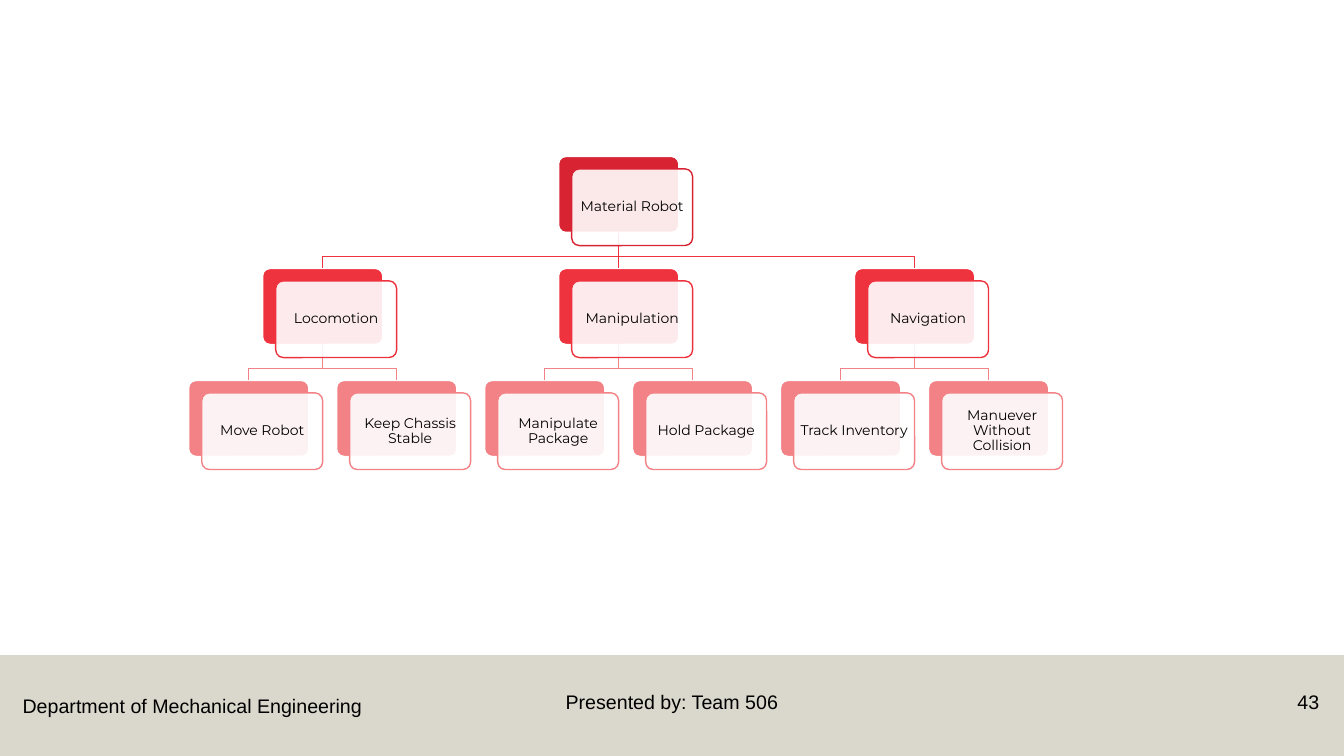
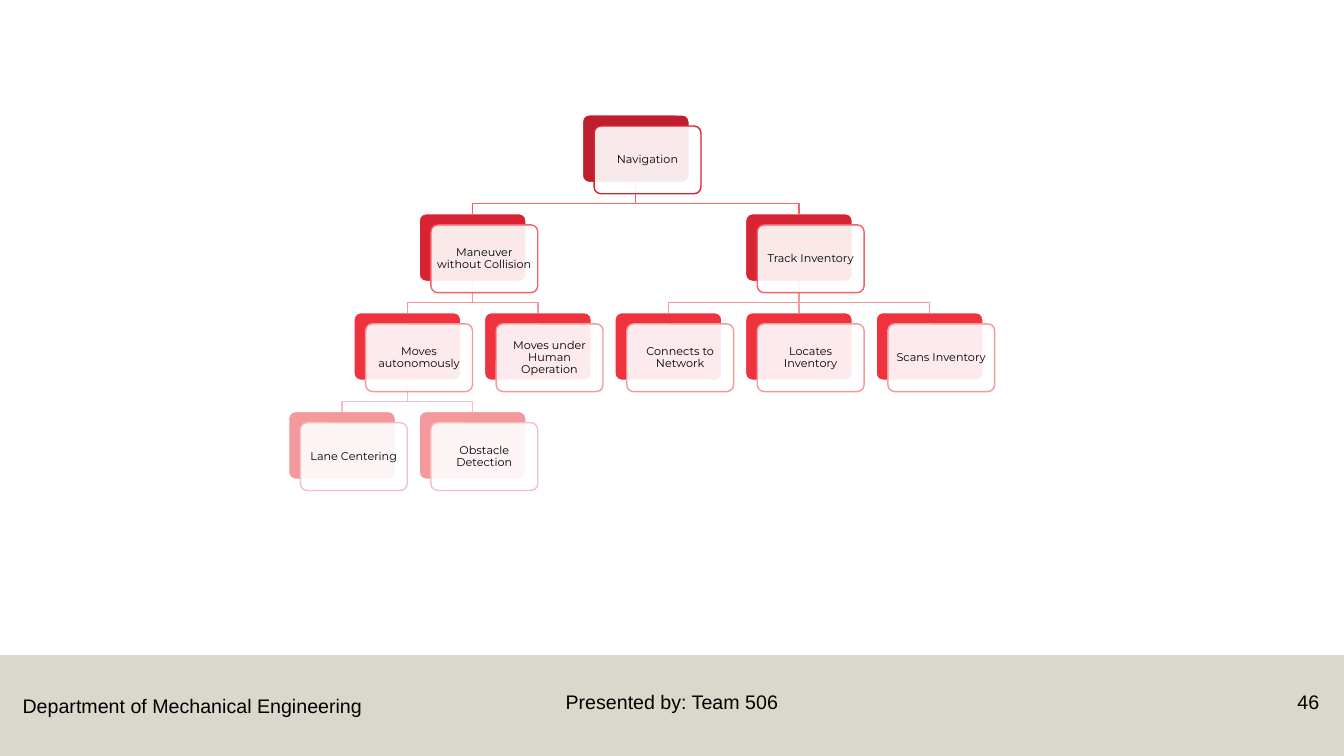
from pptx import Presentation
from pptx.dml.color import RGBColor
from pptx.enum.shapes import MSO_CONNECTOR, MSO_SHAPE
from pptx.enum.text import MSO_ANCHOR, PP_ALIGN
from pptx.oxml.ns import qn
from pptx.util import Pt
from lxml import etree

RECTANGLE, ROUNDED = MSO_SHAPE.RECTANGLE, MSO_SHAPE.ROUNDED_RECTANGLE
STRAIGHT = MSO_CONNECTOR.STRAIGHT
LEFT, CENTER, RIGHT = PP_ALIGN.LEFT, PP_ALIGN.CENTER, PP_ALIGN.RIGHT
MIDDLE = MSO_ANCHOR.MIDDLE
TOP_SIDE, BOTTOM_SIDE = 0, 2

COLORS = {
    "band": "B7B09C", "white": "FFFFFF", "text": "000000",
    "dark": "BF1F2C", "crimson": "D82332", "red": "EE323E", "coral": "F06268",
    "salmon": "F28285", "pink": "F3999B", "pale": "F7BEBF",
}
BEND = 0.68  # share of the gap between rows above the elbow

# Each node: text, level, column (in steps), index of its parent
CHARTS = [
    {
        "page": "43", "left": 134.5, "top": 111.5, "column_step": 105.7, "row_step": 80,
        "width": 86.4, "height": 54.8, "shift_x": 9.6, "shift_y": 9.1,
        "size": 10, "inset": 3, "edge": 1.5,
        "fills": ["crimson", "red", "salmon"],
        "lines": ["crimson", "red", "salmon"],
        "nodes": [
            ("Material Robot", 0, 2.5, None),
            ("Locomotion", 1, 0.5, 0),
            ("Manipulation", 1, 2.5, 0),
            ("Navigation", 1, 4.5, 0),
            ("Move Robot", 2, 0, 1),
            ("Keep Chassis Stable", 2, 1, 1),
            ("Manipulate Package", 2, 2, 2),
            ("Hold Package", 2, 3, 2),
            ("Track Inventory", 2, 4, 3),
            ("Manuever Without Collision", 2, 5, 3),
        ],
    },
    {
        "page": "46", "left": 206.2, "top": 82, "column_step": 93.25, "row_step": 70.65,
        "width": 76.3, "height": 48.4, "shift_x": 8.4, "shift_y": 8,
        "size": 8, "inset": 2.4, "edge": 1,
        "fills": ["dark", "crimson", "red", "pink"],
        "lines": ["crimson", "coral", "pink", "pale"],
        "nodes": [
            ("Navigation", 0, 2.25, None),
            ("Maneuver without Collision", 1, 1, 0),
            ("Track Inventory", 1, 3.5, 0),
            ("Moves autonomously", 2, 0.5, 1),
            ("Moves under Human Operation", 2, 1.5, 1),
            ("Connects to Network", 2, 2.5, 2),
            ("Locates Inventory", 2, 3.5, 2),
            ("Scans Inventory", 2, 4.5, 2),
            ("Lane Centering", 3, 0, 3),
            ("Obstacle Detection", 3, 1, 3),
        ],
    },
]


def add_panel(slide, preset, left, top, width, height, color, opacity=100):
    """Add a preset shape with a plain, possibly translucent fill and no line."""
    panel = slide.shapes.add_shape(preset, Pt(left), Pt(top), Pt(width), Pt(height))
    panel.shadow.inherit = False
    panel.fill.solid()
    panel.fill.fore_color.rgb = RGBColor.from_string(COLORS[color])
    panel.line.fill.background()
    if opacity < 100:
        tone = panel._element.spPr.find(qn("a:solidFill"))[0]
        etree.SubElement(tone, qn("a:alpha"), val=str(opacity * 1000))
    if preset == ROUNDED:
        panel.adjustments[0] = 0.1
    return panel


def write_text(box, text, font, size, align, wrap=True):
    """Put one formatted paragraph into a shape or text box."""
    box.text_frame.word_wrap = wrap
    box.text_frame.text = text
    para = box.text_frame.paragraphs[0]
    para.alignment = align
    para.font.name = font
    para.font.size = Pt(size)
    para.font.color.rgb = RGBColor.from_string(COLORS["text"])
    return para


deck = Presentation()
deck.slide_width, deck.slide_height = Pt(960), Pt(540)
layout = deck.slide_layouts[6]
slides = [deck.slides.add_slide(layout) for chart in CHARTS]

# Footer band and department, moved to the layout that all slides share
band = add_panel(slides[0], RECTANGLE, 0, 468, 960, 72, "band", 50)
department = slides[0].shapes.add_textbox(Pt(9), Pt(491.8), Pt(258.5), Pt(24.2))
write_text(department, "Department of Mechanical Engineering", "Arial", 14, LEFT, wrap=False)
for part in (band, department):
    layout.shapes._spTree.append(part._element)

for slide, chart in zip(slides, CHARTS):
    # Presenter and page number
    for text, left, width, align in (
        ("Presented by: Team 506", 318, 324, CENTER),
        (chart["page"], 894, 55.5, RIGHT),
    ):
        box = slide.shapes.add_textbox(Pt(left), Pt(489), Pt(width), Pt(28.8))
        write_text(box, text, "Arial", 14, align)

    width, height = chart["width"], chart["height"]
    places = [
        (chart["left"] + column * chart["column_step"], chart["top"] + level * chart["row_step"])
        for text, level, column, parent in chart["nodes"]
    ]

    # Coloured back cards
    cards = []
    for (left, top), (text, level, column, parent) in zip(places, chart["nodes"]):
        card = add_panel(slide, ROUNDED, left, top, width, height, chart["fills"][level])
        card.line.color.rgb = RGBColor.from_string(COLORS["white"])
        card.line.width = Pt(chart["edge"])
        cards.append(card)

    # Links from each parent to its children
    for index, (text, level, column, parent) in enumerate(chart["nodes"]):
        if parent is None:
            continue
        start_x, end_x = (places[i][0] + width / 2 for i in (parent, index))
        start_y, end_y = places[parent][1] + height, places[index][1]
        if start_x == end_x:
            link = slide.shapes.add_connector(STRAIGHT, Pt(start_x), Pt(start_y), Pt(end_x), Pt(end_y))
            link.begin_connect(cards[parent], BOTTOM_SIDE)
            link.end_connect(cards[index], TOP_SIDE)
        else:
            bend_y = start_y + BEND * (end_y - start_y)
            builder = slide.shapes.build_freeform(Pt(start_x), Pt(start_y))
            corners = [(start_x, bend_y), (end_x, bend_y), (end_x, end_y)]
            builder.add_line_segments([(Pt(x), Pt(y)) for x, y in corners], close=False)
            link = builder.convert_to_shape()
            link.fill.background()
        link.line.color.rgb = RGBColor.from_string(COLORS[chart["lines"][level]])
        link.line.width = Pt(1)
        etree.SubElement(link._element.spPr, qn("a:effectLst"))

    # Translucent front cards with the labels
    for (left, top), (text, level, column, parent) in zip(places, chart["nodes"]):
        label = add_panel(slide, ROUNDED, left + chart["shift_x"], top + chart["shift_y"],
                          width, height, "white", 90)
        label.line.color.rgb = RGBColor.from_string(COLORS[chart["lines"][level]])
        label.line.width = Pt(1)
        frame = label.text_frame
        frame.vertical_anchor = MIDDLE
        frame.margin_left = frame.margin_right = Pt(chart["inset"])
        frame.margin_top = frame.margin_bottom = Pt(chart["inset"])
        para = write_text(label, text, "Montserrat", chart["size"], CENTER)
        para.line_spacing = 0.9

deck.save("out.pptx")
